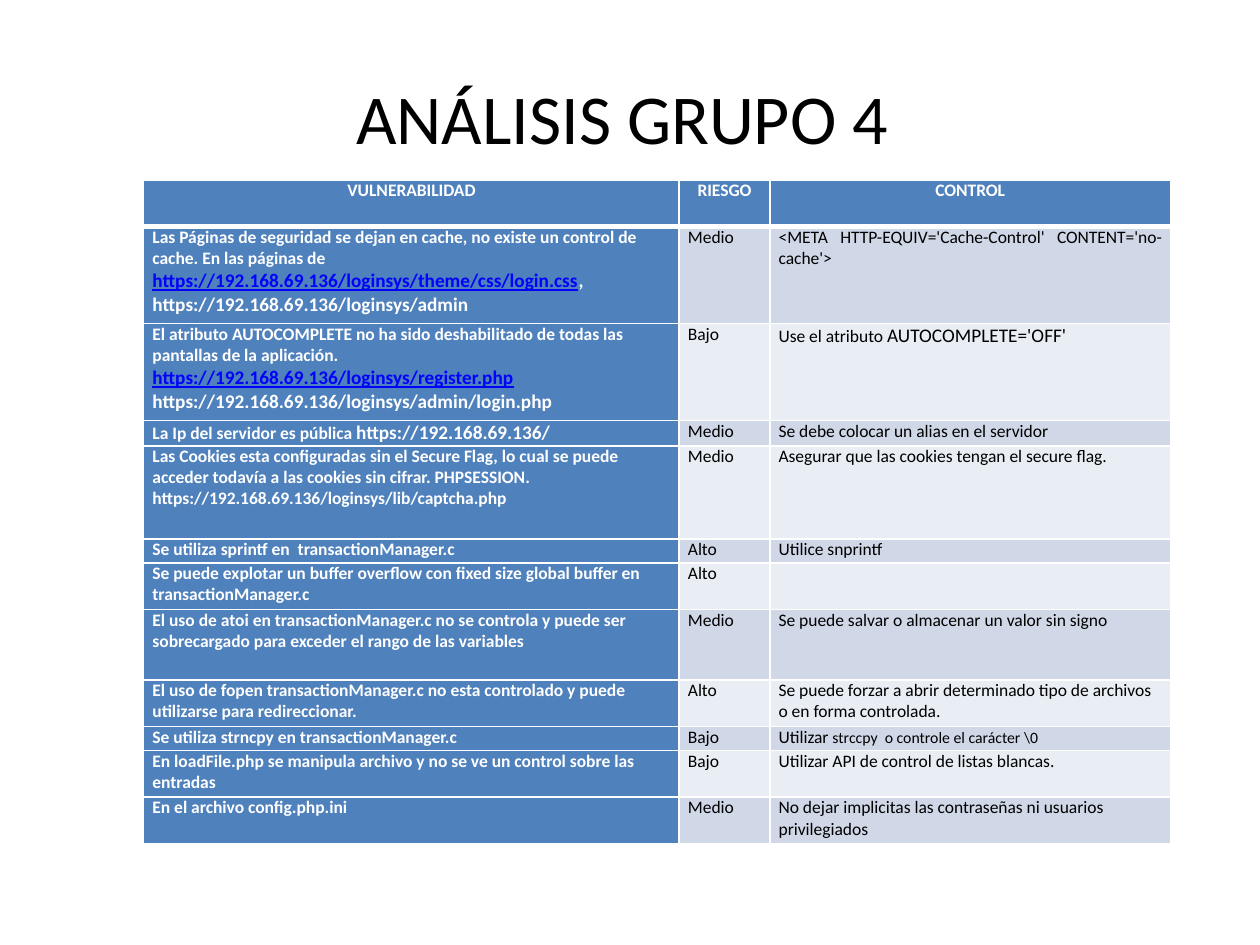
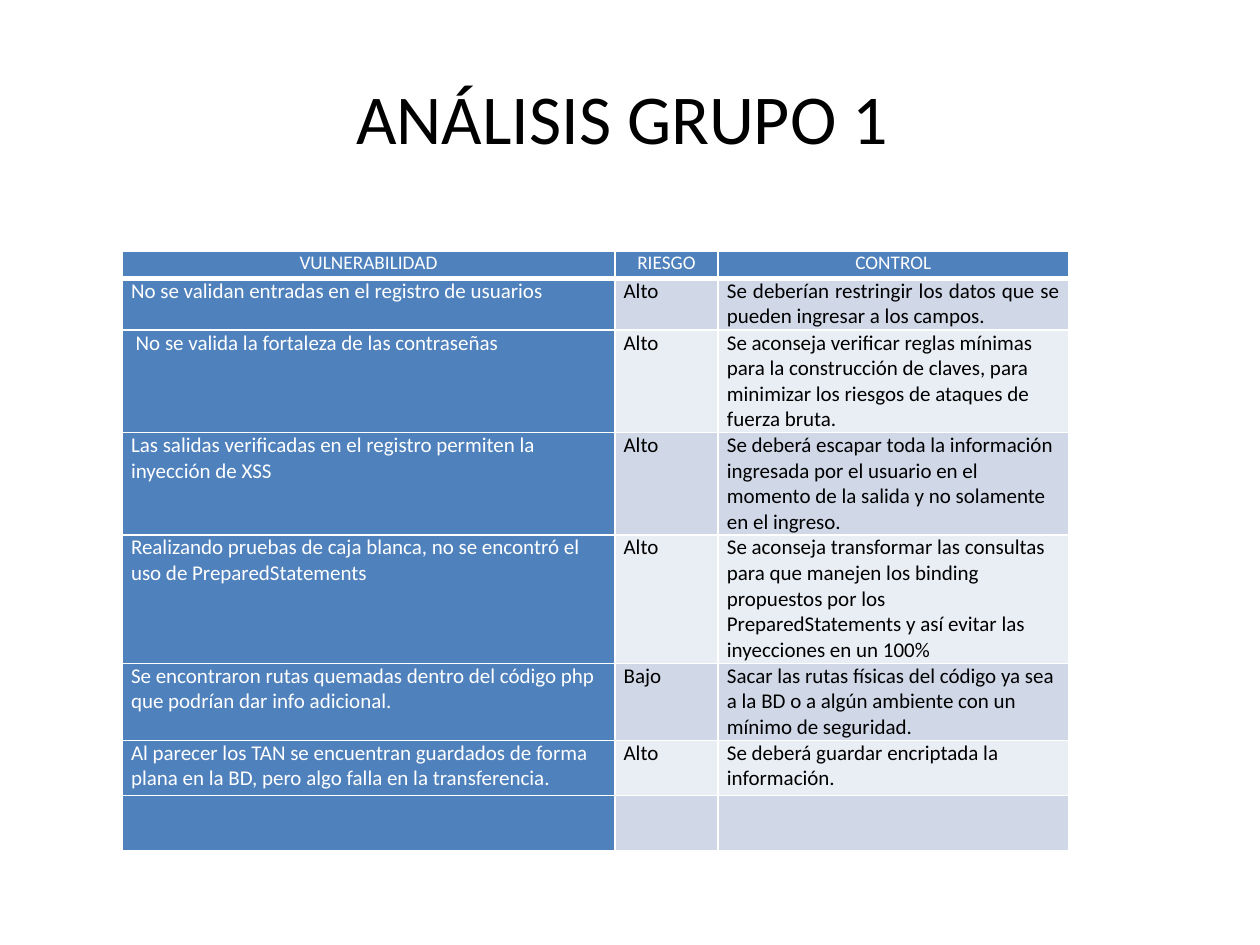
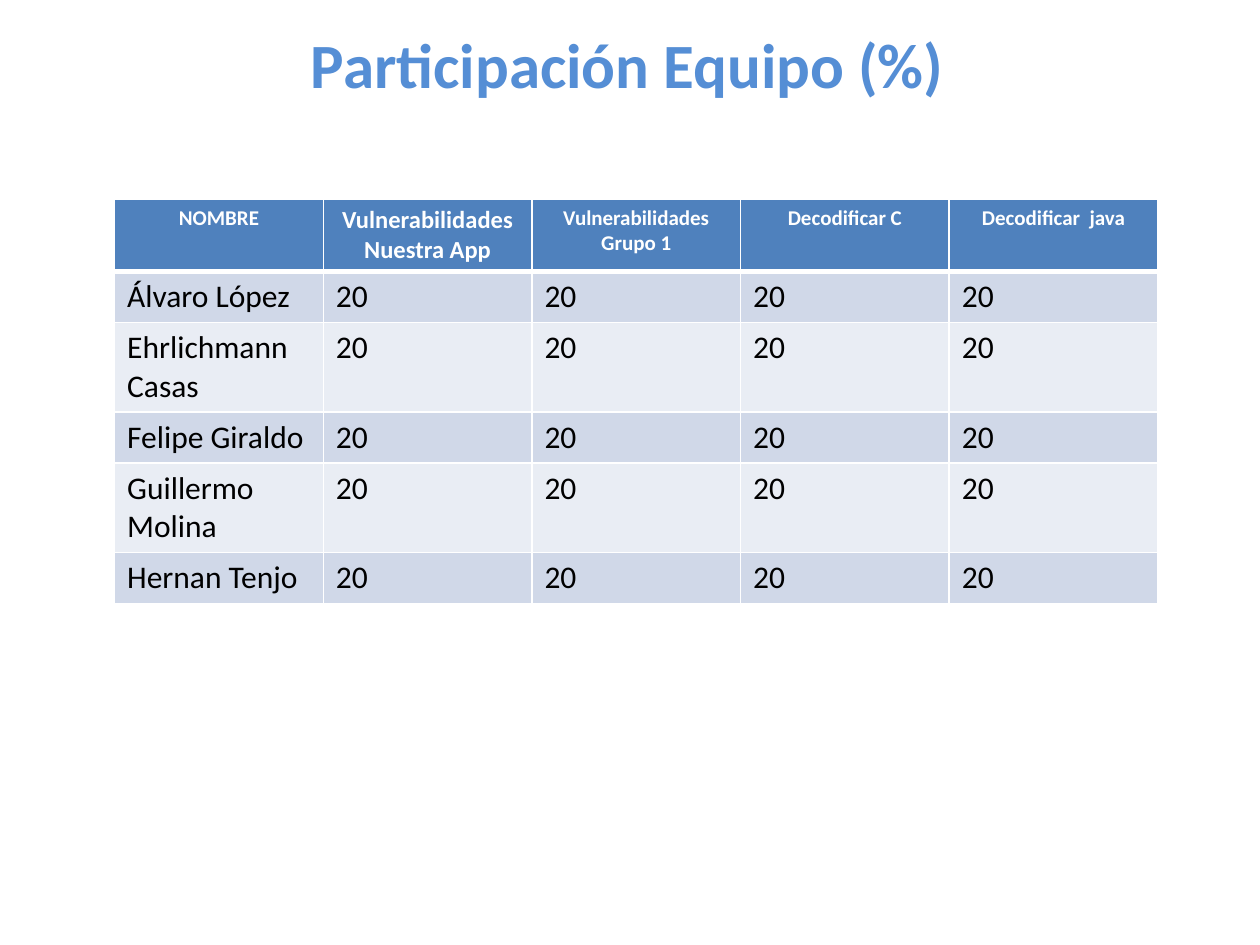
import lxml.etree
import pptx
import pptx.dml.color
import pptx.enum.text
import pptx.oxml.ns
import pptx.util

ALIGN = pptx.enum.text.PP_ALIGN
ANCHOR = pptx.enum.text.MSO_ANCHOR
COLORS = {
    "accent": "4F81BD",
    "band_dark": "D0D8E8",
    "band_light": "E9EDF4",
    "white": "FFFFFF",
    "black": "000000",
    "link": "0000FF",
    "heading": "558ED5",
}
FONT = "Calibri"
GRID_COLUMNS, GRID_ROWS = 100, 75
LINK = {"size": 11, "color": "link", "underline": True}
LARGE = {"size": 11}
JUSTIFIED = {"align": ALIGN.JUSTIFY}
HEADINGS = ["VULNERABILIDAD", "RIESGO", "CONTROL"]
TIGHT = (0.7, 0)
ROOMY = (1, 0.5)

GROUP_4 = [
    [
        [[
            "Las Páginas de seguridad se dejan en cache, no existe un control de cache. En las páginas de ",
            ("https://192.168.69.136/loginsys/theme/css/login.css", LINK),
            (", https://192.168.69.136/loginsys/admin", LARGE),
        ]],
        "Medio",
        [[("<META HTTP-EQUIV='Cache-Control' CONTENT='no-cache'>", JUSTIFIED)]],
    ],
    [
        [
            ["El atributo AUTOCOMPLETE no ha sido deshabilitado de todas las pantallas de la aplicación."],
            [("https://192.168.69.136/loginsys/register.php", LINK)],
            [("https://192.168.69.136/loginsys/admin/login.php", LARGE)],
        ],
        "Bajo",
        [["Use el atributo ", ("AUTOCOMPLETE='OFF'", LARGE)]],
    ],
    [
        [["La Ip del servidor es pública ", ("https://192.168.69.136/", LARGE)]],
        "Medio",
        "Se debe colocar un alias en el servidor",
    ],
    [
        [
            ["Las Cookies esta configuradas sin el Secure Flag, lo cual se puede acceder todavía a las cookies sin cifrar. PHPSESSION."],
            ["https://192.168.69.136/loginsys/lib/captcha.php"],
        ],
        "Medio",
        "Asegurar que las cookies tengan el secure flag.",
    ],
    ["Se utiliza sprintf en  transactionManager.c", "Alto", "Utilice snprintf"],
    ["Se puede explotar un buffer overflow con fixed size global buffer en transactionManager.c", "Alto", ""],
    [
        "El uso de atoi en transactionManager.c no se controla y puede ser sobrecargado para exceder el rango de las variables",
        "Medio",
        "Se puede salvar o almacenar un valor sin signo",
    ],
    [
        "El uso de fopen transactionManager.c no esta controlado y puede utilizarse para redireccionar.",
        "Alto",
        "Se puede forzar a abrir determinado tipo de archivos o en forma controlada.",
    ],
    [
        "Se utiliza strncpy en transactionManager.c",
        "Bajo",
        [["Utilizar ", ("strccpy  o controle el carácter \\0", {"size": 9})]],
    ],
    [
        "En loadFile.php se manipula archivo y no se ve un control sobre las entradas",
        "Bajo",
        "Utilizar API de control de listas blancas.",
    ],
    ["En el archivo config.php.ini", "Medio", "No dejar implicitas las contraseñas ni usuarios privilegiados"],
]

GROUP_1 = [
    [
        "No se validan entradas en el registro de usuarios",
        "Alto",
        [[("Se deberían restringir los datos que se pueden ingresar a los campos.", JUSTIFIED)]],
    ],
    [
        " No se valida la fortaleza de las contraseñas",
        "Alto",
        "Se aconseja verificar reglas mínimas para la construcción de claves, para minimizar los riesgos de ataques de fuerza bruta.",
    ],
    [
        "Las salidas verificadas en el registro permiten la inyección de XSS",
        "Alto",
        "Se deberá escapar toda la información ingresada por el usuario en el momento de la salida y no solamente en el ingreso.",
    ],
    [
        "Realizando pruebas de caja blanca, no se encontró el uso de PreparedStatements",
        "Alto",
        "Se aconseja transformar las consultas para que manejen los binding propuestos por los PreparedStatements y así evitar las inyecciones en un 100%",
    ],
    [
        "Se encontraron rutas quemadas dentro del código php que podrían dar info adicional.",
        "Bajo",
        "Sacar las rutas físicas del código ya sea a la BD o a algún ambiente con un mínimo de seguridad.",
    ],
    [
        "Al parecer los TAN se encuentran guardados de forma plana en la BD, pero algo falla en la transferencia.",
        "Alto",
        "Se deberá guardar encriptada la información.",
    ],
    ["", "", ""],
]

TEAM_HEADINGS = [
    "NOMBRE",
    [[("Vulnerabilidades Nuestra App", {"size": 14})]],
    "Vulnerabilidades Grupo 1",
    "Decodificar C",
    "Decodificar  java",
]
TEAM = ["Álvaro López", "Ehrlichmann Casas", "Felipe Giraldo", "Guillermo Molina", "Hernan Tenjo"]


def add_text(paragraph, text, size=10, color="black", bold=False, underline=False, align=ALIGN.LEFT):
    run = paragraph.add_run()
    run.text = text
    run.font.name = FONT
    run.font.size = pptx.util.Pt(size)
    run.font.bold = bold
    run.font.underline = underline
    run.font.color.rgb = pptx.dml.color.RGBColor.from_string(COLORS[color])
    paragraph.alignment = align


def fill_frame(frame, content, style):
    paragraphs = [[content]] if isinstance(content, str) else content
    for index, pieces in enumerate(paragraphs):
        paragraph = frame.add_paragraph() if index else frame.paragraphs[0]
        for piece in filter(None, pieces):
            text, changes = (piece, {}) if isinstance(piece, str) else piece
            add_text(paragraph, text, **{**style, **changes})


def add_border(cell, side, points):
    line = lxml.etree.SubElement(
        cell._tc.get_or_add_tcPr(), pptx.oxml.ns.qn(f"a:ln{side}"), w=str(pptx.util.Pt(points))
    )
    fill = lxml.etree.SubElement(line, pptx.oxml.ns.qn("a:solidFill"))
    lxml.etree.SubElement(fill, pptx.oxml.ns.qn("a:srgbClr"), val=COLORS["white"])


class Deck:
    """Holds the shared style and the slide being built."""

    def __init__(self):
        self.presentation = pptx.Presentation()
        self.presentation.slide_width = pptx.util.Inches(10)
        self.presentation.slide_height = pptx.util.Inches(7.5)
        self.slide = None

    def across(self, columns):
        return round(self.presentation.slide_width * columns / GRID_COLUMNS)

    def down(self, rows):
        return round(self.presentation.slide_height * rows / GRID_ROWS)

    def box(self, left, top, width, height):
        return self.across(left), self.down(top), self.across(width), self.down(height)

    def add_slide(self):
        self.slide = self.presentation.slides.add_slide(self.presentation.slide_layouts[5])

    def title(self, text, place=(5, 3, 90, 12.5), anchor=ANCHOR.MIDDLE, **style):
        shape = self.slide.shapes.title
        shape.left, shape.top, shape.width, shape.height = self.box(*place)
        frame = shape.text_frame
        frame.auto_size = pptx.enum.text.MSO_AUTO_SIZE.NONE
        frame.vertical_anchor = anchor
        fill_frame(frame, text, {"size": 40, "align": ALIGN.CENTER, **style})

    def table(self, corner, widths, heights, rows, header, body, lead=None, margins=TIGHT):
        place = self.box(*corner, sum(widths), sum(heights))
        table = self.slide.shapes.add_table(len(rows), len(widths), *place).table
        table.horz_banding = False
        for column, width in zip(table.columns, widths):
            column.width = self.across(width)
        for row, height in zip(table.rows, heights):
            row.height = self.down(height)
        for row_index, row in enumerate(rows):
            band = "band_dark" if row_index % 2 else "band_light"
            for column_index, content in enumerate(row):
                style, fill = body, band
                if row_index == 0:
                    style, fill = header, "accent"
                elif lead and column_index == 0:
                    style, fill = lead, "accent"
                cell = table.cell(row_index, column_index)
                self.format_cell(cell, row_index, fill, margins)
                fill_frame(cell.text_frame, content, style)

    def format_cell(self, cell, row_index, fill, margins):
        cell.margin_left = cell.margin_right = self.across(margins[0])
        cell.margin_top = cell.margin_bottom = self.down(margins[1])
        top, bottom = {0: (1, 3), 1: (3, 1)}.get(row_index, (1, 1))
        for side, points in zip("LRTB", (1, 1, top, bottom)):
            add_border(cell, side, points)
        cell.fill.solid()
        cell.fill.fore_color.rgb = pptx.dml.color.RGBColor.from_string(COLORS[fill])

    def analysis(self, group, corner, widths, heights, findings, header_size, size, bold):
        self.add_slide()
        self.title(f"ANÁLISIS GRUPO {group} ")
        lead = {"size": size, "color": "white", "bold": bold}
        header = {**lead, "size": header_size, "align": ALIGN.CENTER}
        self.table(corner, widths, heights, [HEADINGS, *findings], header, {"size": size}, lead)

    def participation(self):
        self.add_slide()
        self.title(
            "Participación Equipo (%)", (5.9, 1.5, 87.8, 7.1), ANCHOR.TOP,
            size=36, color="heading", bold=True,
        )
        shares = [[name] + ["20"] * (len(TEAM_HEADINGS) - 1) for name in TEAM]
        header = {"size": 12, "color": "white", "bold": True, "align": ALIGN.CENTER}
        self.table(
            (9.1, 15.8), [16.56] * len(TEAM_HEADINGS), [5.6, 4, 7.1, 4, 7.1, 4],
            [TEAM_HEADINGS, *shares], header, {"size": 18}, margins=ROOMY,
        )


def main():
    deck = Deck()
    deck.analysis(
        4, (11.4, 14.3), [42.5, 7.2, 31.8],
        [3.7, 7.7, 7.7, 2, 7.4, 1.9, 3.7, 5.6, 3.7, 1.9, 3.7, 3.7],
        GROUP_4, header_size=10, size=10, bold=True,
    )
    deck.analysis(
        1, (9.7, 19.9), [39.1, 8.2, 27.8],
        [2.2, 4.1, 8.1, 8.1, 10.2, 6.1, 4.4, 4.4],
        GROUP_1, header_size=11, size=12, bold=False,
    )
    deck.participation()
    deck.presentation.save("out.pptx")


if __name__ == "__main__":
    main()
